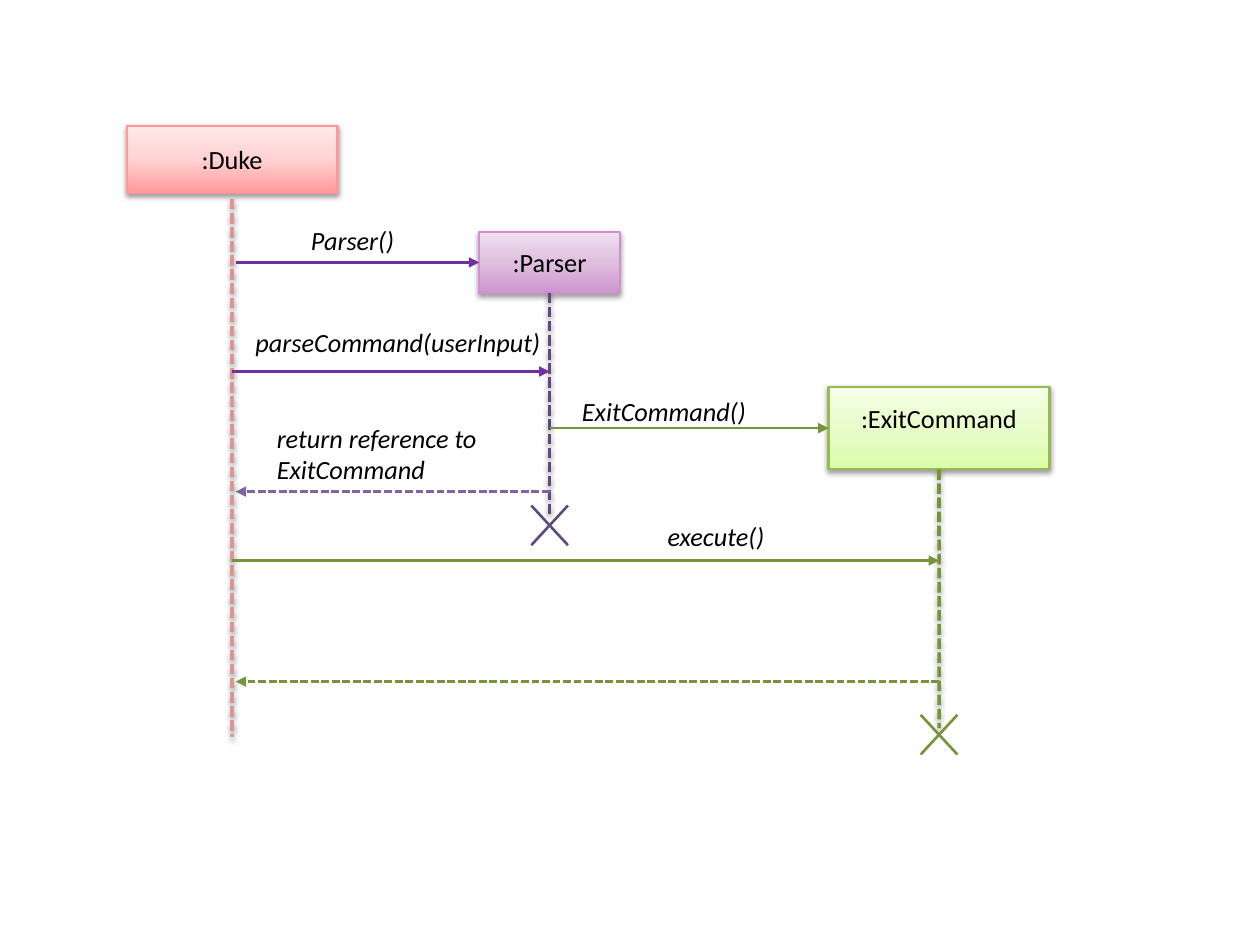
from copy import deepcopy

from pptx import Presentation
from pptx.dml.color import RGBColor
from pptx.enum.dml import MSO_LINE
from pptx.enum.shapes import MSO_CONNECTOR, MSO_SHAPE
from pptx.enum.text import MSO_ANCHOR, PP_ALIGN
from pptx.oxml import parse_xml
from pptx.oxml.ns import nsdecls, qn
from pptx.oxml.xmlchemy import OxmlElement
from pptx.util import Cm, Pt

BLACK = RGBColor(0x00, 0x00, 0x00)
ROSE = RGBColor(0xD9, 0x96, 0x94)
PLUM = RGBColor(0x60, 0x4A, 0x7B)
PURPLE = RGBColor(0x70, 0x30, 0xA0)
LILAC = RGBColor(0x80, 0x64, 0xA2)
OLIVE = RGBColor(0x77, 0x93, 0x3C)
PINK_EDGE = RGBColor(0xFF, 0x99, 0x99)
MAUVE_EDGE = RGBColor(0xCF, 0x92, 0xCF)
GREEN_EDGE = RGBColor(0x98, 0xB9, 0x55)
PINK_STOPS = [(0, PINK_EDGE), (0.5, RGBColor(0xFF, 0xD2, 0xD3)), (1, RGBColor(0xFF, 0xE9, 0xE9))]
MAUVE_STOPS = [(0, RGBColor(0xCF, 0x95, 0xCF)), (0.5, RGBColor(0xDF, 0xBF, 0xDF)),
               (1, RGBColor(0xEF, 0xE0, 0xEF))]
GREEN_STOPS = [(0, RGBColor(0xDA, 0xFD, 0xA7)), (0.35, RGBColor(0xE4, 0xFC, 0xC2)),
               (1, RGBColor(0xF5, 0xFF, 0xE7))]

# All positions and sizes are in centimetres.
DUKE_X, PARSER_X, EXIT_X = 4.68, 11.08, 18.93
RETURN_X = DUKE_X + 0.07  # gap between an arrow and Duke's lifeline

# name: centre x, top, width, height, bottom inset, edge, gradient,
#       lifeline gap, lifeline end, lifeline colour, destruction mark y
PARTICIPANTS = {
    ":Duke": (DUKE_X, 2.54, 4.24, 1.35, 0.13, PINK_EDGE, PINK_STOPS, 0.12, 14.86, ROSE, None),
    ":Parser": (PARSER_X, 4.68, 2.84, 1.22, 0.13, MAUVE_EDGE, MAUVE_STOPS, 0, 10.36, PLUM, 10.59),
    ":ExitCommand": (EXIT_X, 7.8, 4.45, 1.66, 0.53, GREEN_EDGE, GREEN_STOPS, 0, 14.68, OLIVE, 14.81),
}
# start x, end x, y, colour, dashed, participant created
MESSAGES = [
    (RETURN_X, 9.66, 5.29, PURPLE, False, ":Parser"),
    (DUKE_X, PARSER_X, 7.49, PURPLE, False, None),
    (PARSER_X, 16.7, 8.63, OLIVE, False, ":ExitCommand"),
    (PARSER_X, RETURN_X, 9.91, LILAC, True, None),
    (DUKE_X, EXIT_X, 11.3, OLIVE, False, None),
    (EXIT_X, RETURN_X, 13.74, OLIVE, True, None),
]
# text, left, top, width, height
LABELS = [
    ("Parser()", 6.02, 4.39, 3.28, 0.89),
    ("parseCommand(userInput)", 4.9, 6.45, 6.93, 0.89),
    ("ExitCommand()", 11.48, 7.85, 3.91, 0.89),
    ("return reference to ExitCommand", 5.33, 8.38, 4.75, 1.55),
    ("execute()", 13.21, 10.36, 2.6, 0.89),
]
CROSS_DX, CROSS_DY = 0.37, 0.4


def set_effects(shape, shadowed):
    """Give the shape a soft drop shadow, or none at all."""
    properties = shape._element.spPr
    for old in properties.findall(qn("a:effectLst")):
        properties.remove(old)
    shadow = ('<a:outerShdw blurRad="40000" dist="20000" dir="5400000" rotWithShape="0">'
              '<a:srgbClr val="000000"><a:alpha val="38000"/></a:srgbClr></a:outerShdw>')
    properties.append(parse_xml(
        f'<a:effectLst {nsdecls("a")}>{shadow if shadowed else ""}</a:effectLst>'))


def add_line(slide, x1, y1, x2, y2, color, width=1.5, dashed=False, arrow=False, shadowed=False):
    line = slide.shapes.add_connector(MSO_CONNECTOR.STRAIGHT, Cm(x1), Cm(y1), Cm(x2), Cm(y2))
    line.line.color.rgb = color
    line.line.width = Pt(width)
    if dashed:
        line.line.dash_style = MSO_LINE.SQUARE_DOT
    if arrow:
        head = OxmlElement("a:tailEnd")
        head.set("type", "triangle")
        line.line._get_or_add_ln().append(head)
    set_effects(line, shadowed)
    return line


def write(frame, text, italic=False):
    frame.word_wrap = True
    run = frame.paragraphs[0].add_run()
    run.text = text
    run.font.name = "Calibri"
    run.font.size = Pt(15)
    run.font.italic = italic
    run.font.color.rgb = BLACK


def fill_gradient(shape, stops):
    shape.fill.gradient()
    shape.fill.gradient_angle = 90
    stop_list = shape._element.spPr.find(".//" + qn("a:gsLst"))
    while len(stop_list) < len(stops):
        stop_list.append(deepcopy(stop_list[0]))
    for stop, (position, color) in zip(shape.fill.gradient_stops, stops):
        stop.position = position
        stop.color.rgb = color


def add_box(slide, name, center, top, width, height, bottom_inset, edge, stops):
    box = slide.shapes.add_shape(MSO_SHAPE.RECTANGLE, Cm(center - width / 2), Cm(top),
                                 Cm(width), Cm(height))
    fill_gradient(box, stops)
    box.line.color.rgb = edge
    box.line.width = Pt(1.5)
    set_effects(box, True)
    frame = box.text_frame
    frame.vertical_anchor = MSO_ANCHOR.MIDDLE
    frame.margin_bottom = Cm(bottom_inset)
    write(frame, name)
    frame.paragraphs[0].alignment = PP_ALIGN.CENTER
    return box


def add_cross(slide, x, y, color):
    for dy in (CROSS_DY, -CROSS_DY):
        add_line(slide, x - CROSS_DX, y - dy, x + CROSS_DX, y + dy, color)


def main():
    presentation = Presentation()
    presentation.slide_width, presentation.slide_height = Cm(25.4), Cm(19.05)
    slide = presentation.slides.add_slide(presentation.slide_layouts[6])

    boxes = {}
    for name, (x, top, width, height, inset, edge, stops, gap, end, color, cross_y) in PARTICIPANTS.items():
        boxes[name] = add_box(slide, name, x, top, width, height, inset, edge, stops)
        lifeline = add_line(slide, x, top + height + gap, x, end, color, 2, dashed=True, shadowed=True)
        if not gap:
            lifeline.begin_connect(boxes[name], 2)
        if cross_y:
            add_cross(slide, x, cross_y, color)

    for start, end, y, color, dashed, created in MESSAGES:
        arrow = add_line(slide, start, y, end, y, color, dashed=dashed, arrow=True)
        if created:
            arrow.end_connect(boxes[created], 1)

    for text, *place in LABELS:
        label = slide.shapes.add_textbox(*map(Cm, place))
        write(label.text_frame, text, italic=True)

    presentation.save("out.pptx")


if __name__ == "__main__":
    main()
